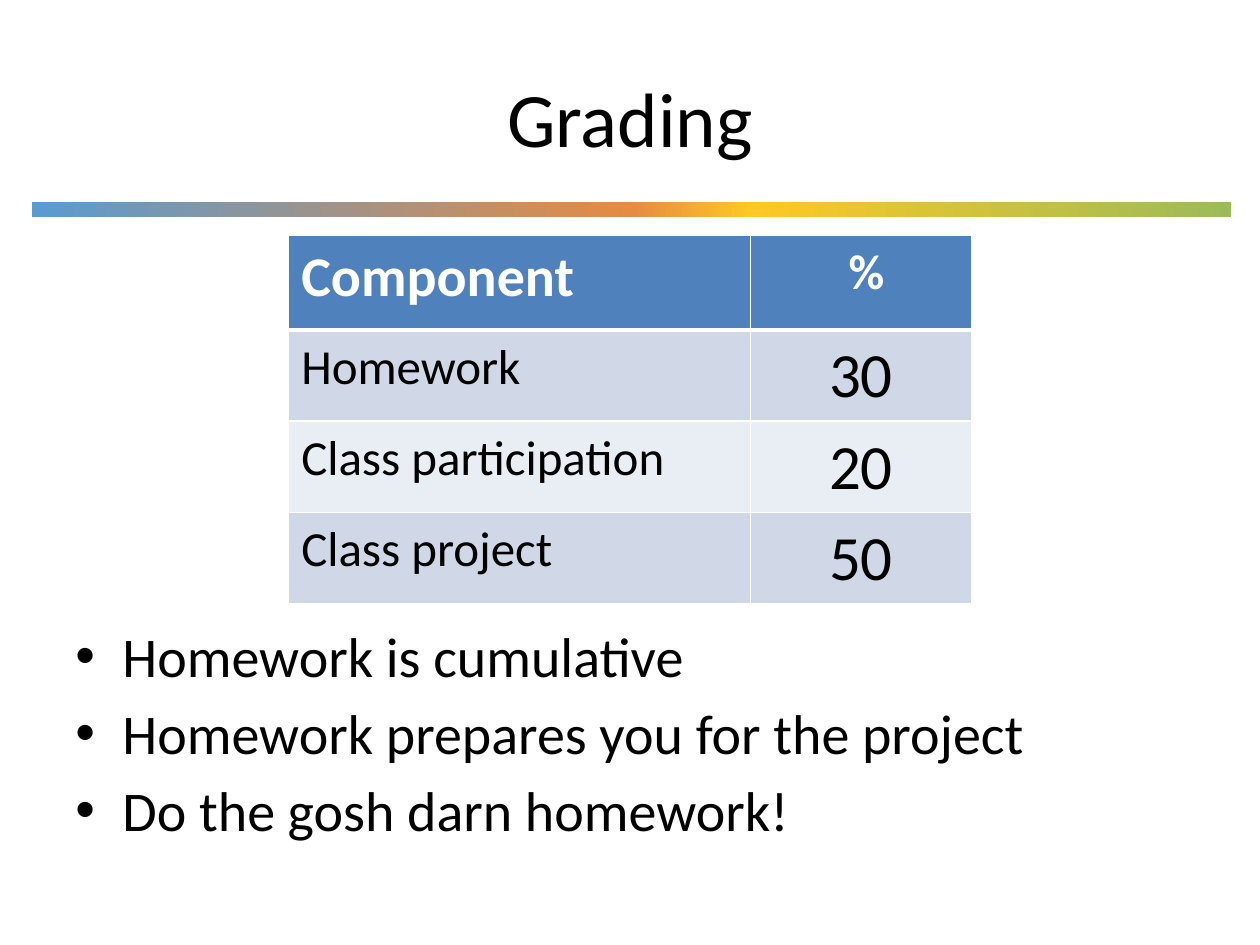
import lxml.etree
import pptx
import pptx.dml.color
import pptx.enum.shapes
import pptx.enum.text
import pptx.oxml.ns
import pptx.util

Cm = pptx.util.Cm
Pt = pptx.util.Pt
RGBColor = pptx.dml.color.RGBColor
Align = pptx.enum.text.PP_ALIGN
qn = pptx.oxml.ns.qn

FONT = "Calibri"
BLACK = RGBColor(0x00, 0x00, 0x00)
WHITE = RGBColor(0xFF, 0xFF, 0xFF)
HEADER_BLUE = RGBColor(0x4F, 0x81, 0xBD)
BAND_DARK = RGBColor(0xD0, 0xD8, 0xE8)
BAND_LIGHT = RGBColor(0xE9, 0xED, 0xF4)
BAR_STOPS = [
    (0, RGBColor(0x59, 0x9B, 0xD1)),
    (50, RGBColor(0xE5, 0x8B, 0x43)),
    (60, RGBColor(0xFF, 0xC8, 0x24)),
    (100, RGBColor(0x9B, 0xBB, 0x59)),
]

GRADES = [
    ("Component", " %"),
    ("Homework", "30"),
    ("Class participation", "20"),
    ("Class project", "50"),
]
COLUMN_WIDTHS = [Cm(9.31), Cm(4.45)]
ROW_HEIGHTS = [Cm(1.9), Cm(1.84), Cm(1.84), Cm(1.84)]
NOTES = [
    "Homework is cumulative",
    "Homework prepares you for the project",
    "Do the gosh darn homework!",
]


def format_runs(paragraph, size, color, bold=False):
    for run in paragraph.runs:
        run.font.name = FONT
        run.font.size = Pt(size)
        run.font.bold = bold
        run.font.color.rgb = color


def set_title(slide, text):
    title = slide.shapes.title
    title.left, title.top = Cm(1.27), Cm(0.76)
    title.width, title.height = Cm(22.86), Cm(3.18)
    title.text_frame.text = text
    title.text_frame.vertical_anchor = pptx.enum.text.MSO_ANCHOR.MIDDLE
    paragraph = title.text_frame.paragraphs[0]
    paragraph.alignment = Align.CENTER
    format_runs(paragraph, 44, BLACK)


def add_gradient_bar(slide):
    bar = slide.shapes.add_shape(
        pptx.enum.shapes.MSO_SHAPE.RECTANGLE,
        Cm(0.64), Cm(4.07), Cm(24.18), Cm(0.3))
    bar.shadow.inherit = False
    bar.line.fill.background()
    bar.fill.gradient()
    bar.fill.gradient_angle = 0
    # Replace the two default stops with the four of the bar
    stop_list = bar._element.spPr.find(".//" + qn("a:gsLst"))
    for stop in list(stop_list):
        stop_list.remove(stop)
    for percent, color in BAR_STOPS:
        stop = lxml.etree.SubElement(stop_list, qn("a:gs"), pos=str(percent * 1000))
        lxml.etree.SubElement(stop, qn("a:srgbClr"), val=str(color))


def set_border(cell, side, width):
    properties = cell._tc.get_or_add_tcPr()
    line = lxml.etree.SubElement(properties, qn("a:" + side), w=str(Pt(width)))
    fill = lxml.etree.SubElement(line, qn("a:solidFill"))
    lxml.etree.SubElement(fill, qn("a:srgbClr"), val=str(WHITE))


def format_cell(cell, row, column):
    is_header = row == 0
    # Thick rule between the header and the body
    top = 2.95 if row == 1 else 0.91
    bottom = 2.95 if is_header else 0.91
    for side, width in (("lnL", 0.91), ("lnR", 0.91), ("lnT", top), ("lnB", bottom)):
        set_border(cell, side, width)
    cell.fill.solid()
    if is_header:
        cell.fill.fore_color.rgb = HEADER_BLUE
    else:
        cell.fill.fore_color.rgb = BAND_DARK if row % 2 else BAND_LIGHT
    paragraph = cell.text_frame.paragraphs[0]
    paragraph.line_spacing = 1.02
    paragraph.alignment = Align.CENTER if column else Align.LEFT
    sizes = (32, 28) if is_header else (28, 36)
    format_runs(paragraph, sizes[column], WHITE if is_header else BLACK, is_header)


def add_grade_table(slide):
    table = slide.shapes.add_table(
        len(GRADES), len(COLUMN_WIDTHS), Cm(5.82), Cm(4.75),
        sum(COLUMN_WIDTHS), sum(ROW_HEIGHTS)).table
    for column, width in zip(table.columns, COLUMN_WIDTHS):
        column.width = width
    for row, height in zip(table.rows, ROW_HEIGHTS):
        row.height = height
    for row, values in enumerate(GRADES):
        for column, value in enumerate(values):
            cell = table.cell(row, column)
            cell.text_frame.text = value
            format_cell(cell, row, column)


def add_bullet_list(slide, lines):
    box = slide.shapes.add_textbox(Cm(1.27), Cm(12.4), Cm(22.86), Cm(6.09))
    text_frame = box.text_frame
    text_frame.word_wrap = True
    text_frame.text = "\n".join(lines)
    for index, paragraph in enumerate(text_frame.paragraphs):
        properties = paragraph._p.get_or_add_pPr()
        properties.set("marL", str(Cm(0.95)))
        properties.set("indent", str(-Cm(0.95)))
        lxml.etree.SubElement(properties, qn("a:buFont"), typeface="Arial")
        lxml.etree.SubElement(properties, qn("a:buChar"), char="•")
        if index:
            paragraph.space_before = Pt(5.6)
        format_runs(paragraph, 32, BLACK)


def main():
    presentation = pptx.Presentation()
    presentation.slide_width = Cm(25.4)
    presentation.slide_height = Cm(19.05)
    title_only = presentation.slide_layouts[5]
    slide = presentation.slides.add_slide(title_only)
    add_gradient_bar(slide)
    set_title(slide, "Grading")
    add_grade_table(slide)
    add_bullet_list(slide, NOTES)
    presentation.save("out.pptx")


if __name__ == "__main__":
    main()
